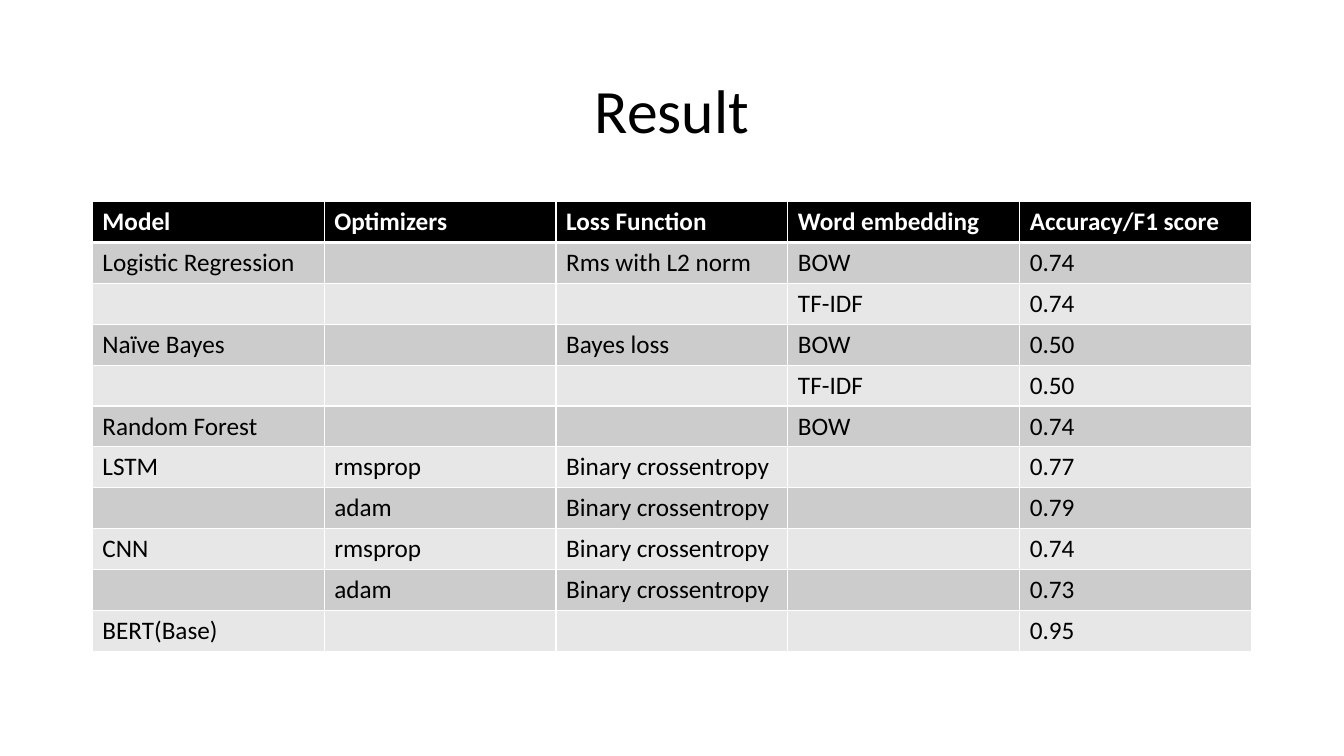
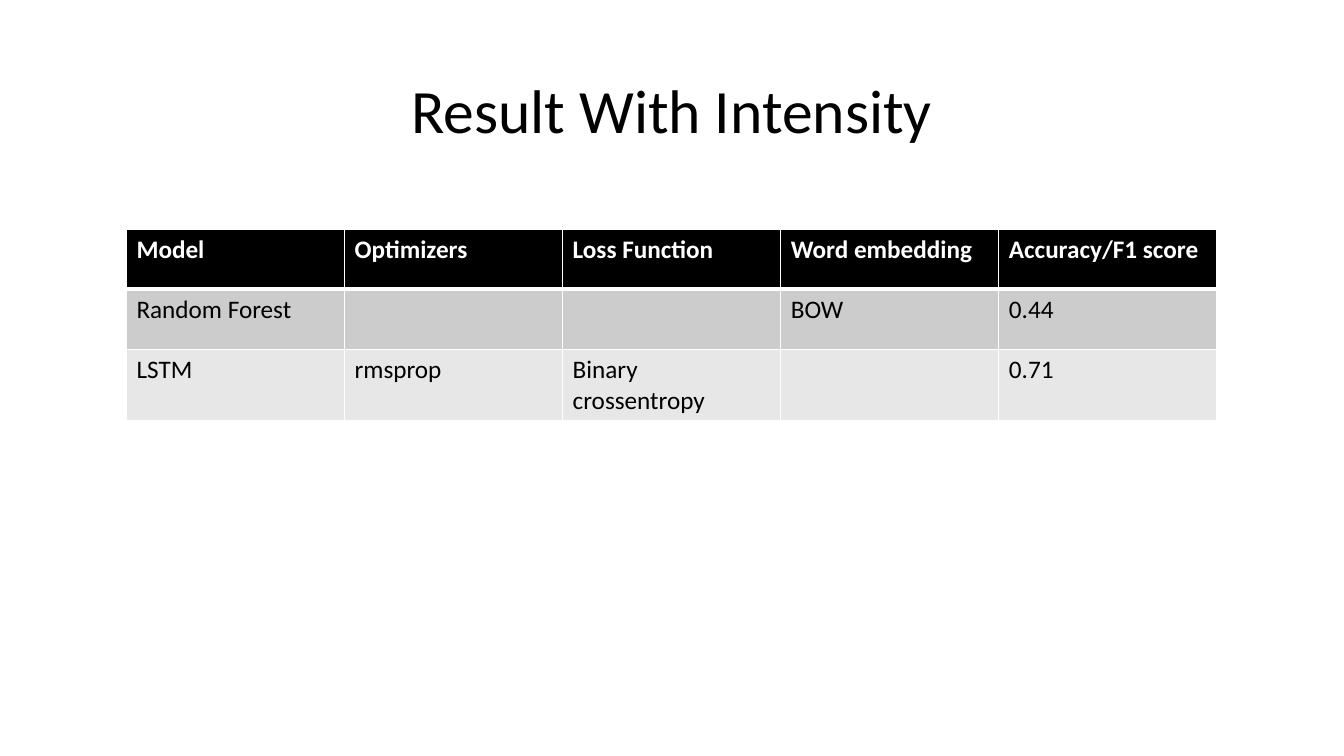
from lxml.etree import SubElement
from pptx import Presentation
from pptx.dml.color import RGBColor
from pptx.enum.text import MSO_ANCHOR, PP_ALIGN
from pptx.oxml.ns import qn
from pptx.util import Pt

COLORS = {
    "text": "000000",
    "header": "000000",
    "header_text": "FFFFFF",
    "grid": "FFFFFF",
    "odd_row": "CCCCCC",
    "even_row": "E7E7E7",
}
FONT = "Calibri"
TITLE_BOX = (66, 28.8, 828, 104.4)
THIN, THICK = 1, 3

HEADINGS = ("Model", "Optimizers", "Loss Function", "Word embedding", "Accuracy/F1 score")
RESULTS = (
    ("Logistic Regression", "", "Rms with L2 norm", "BOW", "0.74"),
    ("", "", "", "TF-IDF", "0.74"),
    ("Naïve Bayes", "", "Bayes loss", "BOW", "0.50"),
    ("", "", "", "TF-IDF", "0.50"),
    ("Random Forest", "", "", "BOW", "0.74"),
    ("LSTM", "rmsprop", "Binary crossentropy", "", "0.77"),
    ("", "adam", "Binary crossentropy", "", "0.79"),
    ("CNN", "rmsprop", "Binary crossentropy", "", "0.74"),
    ("", "adam", "Binary crossentropy", "", "0.73"),
    ("BERT(Base)", "", "", "", "0.95"),
)
INTENSITY_RESULTS = (
    ("Random Forest", "", "", "BOW", "0.44"),
    ("LSTM", "rmsprop", "Binary crossentropy", "", "0.71"),
)


def rgb(name):
    return RGBColor.from_string(COLORS[name])


def write_text(frame, text, size=18, color="text", bold=False,
               align=PP_ALIGN.LEFT, line_spacing=None):
    paragraph = frame.paragraphs[0]
    paragraph.alignment = align
    paragraph.line_spacing = line_spacing
    run = paragraph.add_run()
    run.text = text
    run.font.name = FONT
    run.font.size = Pt(size)
    run.font.bold = bold
    run.font.color.rgb = rgb(color)


def set_borders(cell, top, bottom):
    properties = cell._tc.get_or_add_tcPr()
    for side, width in (("L", THIN), ("R", THIN), ("T", top), ("B", bottom)):
        border = SubElement(properties, qn(f"a:ln{side}"), w=str(Pt(width)))
        fill = SubElement(border, qn("a:solidFill"))
        SubElement(fill, qn("a:srgbClr"), val=COLORS["grid"])


def add_title(slide, text, box):
    frame = slide.shapes.add_textbox(*map(Pt, box)).text_frame
    frame.word_wrap = True
    frame.vertical_anchor = MSO_ANCHOR.MIDDLE
    write_text(frame, text, size=44, align=PP_ALIGN.CENTER, line_spacing=0.9)


def add_results(slide, results, box):
    left, top, width, height = box
    rows = (HEADINGS, *results)
    table = slide.shapes.add_table(
        len(rows), len(HEADINGS), Pt(left), Pt(top), Pt(width), Pt(height)).table
    table.horz_banding = False
    for column in table.columns:
        column.width = Pt(width / len(HEADINGS))
    for index, values in enumerate(rows):
        table.rows[index].height = Pt(height / len(rows))
        is_header = index == 0
        band = "header" if is_header else "odd_row" if index % 2 else "even_row"
        for cell, value in zip(table.rows[index].cells, values):
            set_borders(cell, THICK if index == 1 else THIN, THICK if is_header else THIN)
            cell.fill.solid()
            cell.fill.fore_color.rgb = rgb(band)
            if value:
                write_text(cell.text_frame, value, bold=is_header,
                           color="header_text" if is_header else "text")


def add_result_slide(deck, title, results, table_box):
    slide = deck.slides.add_slide(deck.slide_layouts[6])
    add_title(slide, title, TITLE_BOX)
    add_results(slide, results, table_box)


def main():
    deck = Presentation()
    deck.slide_width, deck.slide_height = Pt(960), Pt(540)
    add_result_slide(deck, "Result", RESULTS, (66, 144, 828, 321.2))
    add_result_slide(deck, "Result With Intensity", INTENSITY_RESULTS, (90.3, 163.7, 779, 129))
    deck.save("out.pptx")


if __name__ == "__main__":
    main()
